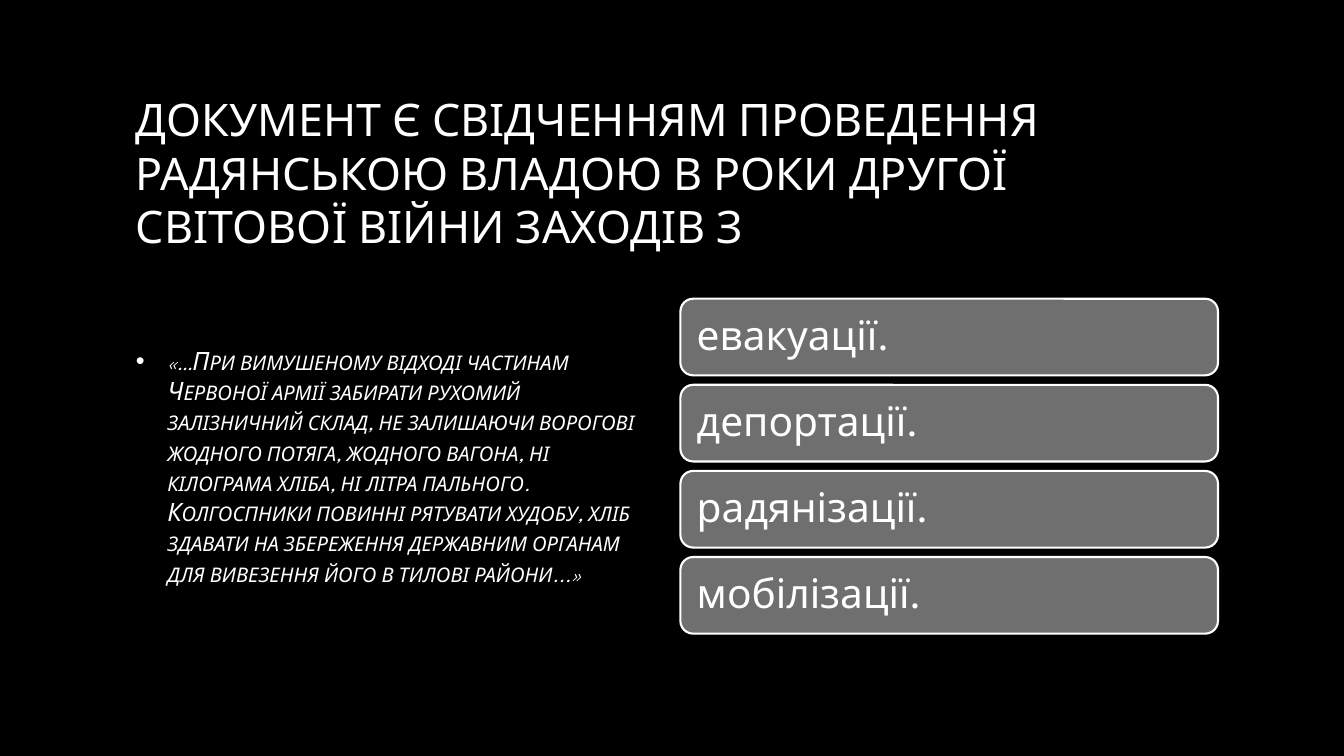
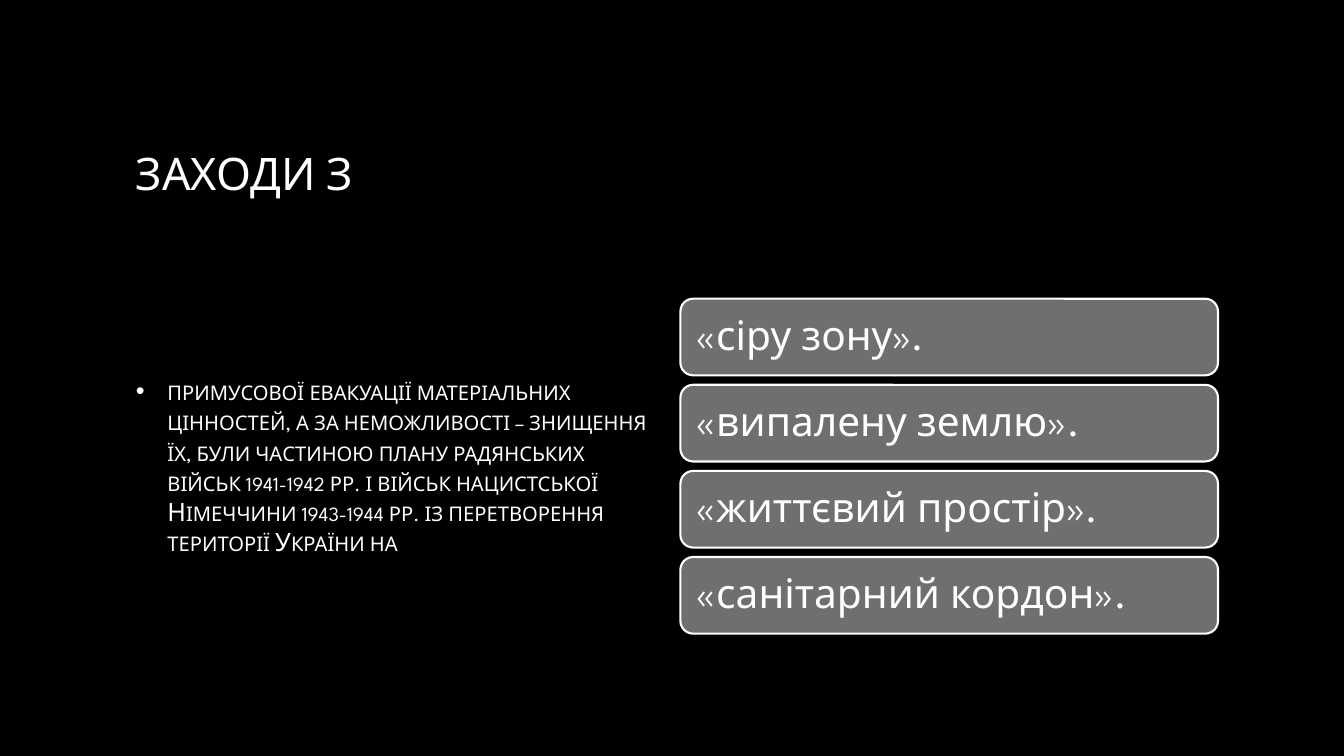
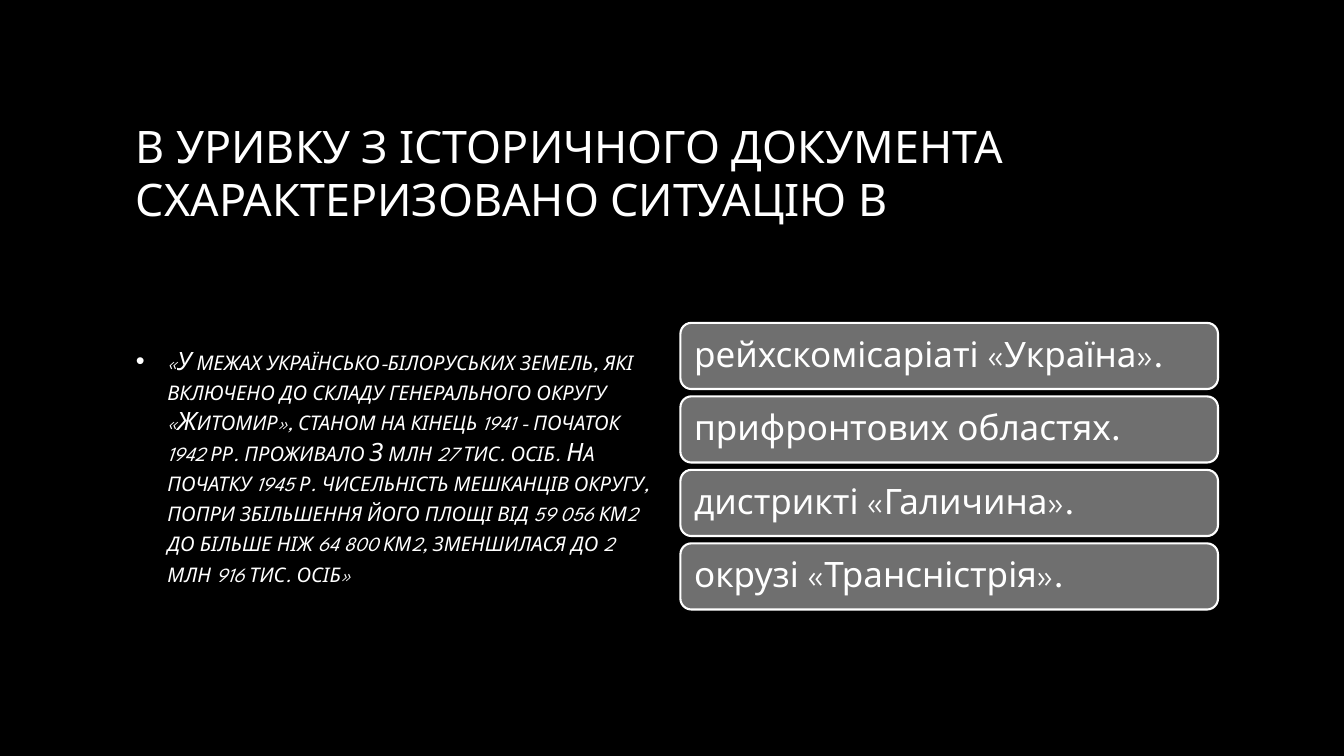
from lxml import etree
from pptx import Presentation
from pptx.dml.color import RGBColor
from pptx.enum.shapes import MSO_SHAPE
from pptx.enum.text import MSO_ANCHOR, PP_ALIGN
from pptx.oxml.ns import qn
from pptx.util import Pt

ROUND_RECT = MSO_SHAPE.ROUNDED_RECTANGLE
MIDDLE = MSO_ANCHOR.MIDDLE
LEFT = PP_ALIGN.LEFT

PX = 9525
FONT = "League Spartan"
BLACK = RGBColor(0, 0, 0)
WHITE = RGBColor(255, 255, 255)
CARD_GRAY = RGBColor(0x6F, 0x6F, 0x6F)
TITLE_SHADE = RGBColor(0xA6, 0xA6, 0xA6)
BODY_SHADE = RGBColor(0xBF, 0xBF, 0xBF)

TITLE_BOX = (120, 64, 1040, 200)
BODY_BOX = (120, 280, 512, 328)
CARDS_BOX = (648, 280, 512, 328)

QUESTIONS = [
    {
        "title": "ДОКУМЕНТ Є СВІДЧЕННЯМ ПРОВЕДЕННЯ РАДЯНСЬКОЮ ВЛАДОЮ В РОКИ "
                 "ДРУГОЇ СВІТОВОЇ ВІЙНИ ЗАХОДІВ З",
        "body": "«…При вимушеному відході частинам Червоної армії забирати рухомий "
                "залізничний склад, не залишаючи ворогові жодного потяга, жодного "
                "вагона, ні кілограма хліба, ні літра пального. Колгоспники повинні "
                "рятувати худобу, хліб здавати на збереження державним органам для "
                "вивезення його в тилові райони...»",
        "italic": True,
        "answers": ["евакуації.", "депортації.", "радянізації.", "мобілізації."],
        "size": 29,
    },
    {
        "title": "ЗАХОДИ З",
        "body": "примусової евакуації матеріальних цінностей, а за неможливості – "
                "знищення їх, були частиною плану радянських військ 1941-1942 рр. "
                "і військ нацистської Німеччини 1943-1944 рр. із перетворення "
                "території України на",
        "italic": False,
        "answers": ["«сіру зону».", "«випалену землю».", "«життєвий простір».",
                    "«санітарний кордон»."],
        "size": 29,
    },
    {
        "title": "В УРИВКУ З ІСТОРИЧНОГО ДОКУМЕНТА СХАРАКТЕРИЗОВАНО СИТУАЦІЮ В",
        "body": "«У межах українсько-білоруських земель, які включено до складу "
                "генерального округу «Житомир», станом на кінець 1941 - початок "
                "1942 рр. проживало З млн 27 тис. осіб. На початку 1945 р. "
                "чисельність мешканців округу, попри збільшення його площі від "
                "59 056 км2 до більше ніж 64 800 км2, зменшилася до 2 млн 916 тис. "
                "осіб»",
        "italic": True,
        "answers": ["рейхскомісаріаті «Україна».", "прифронтових областях.",
                    "дистрикті «Галичина».", "окрузі «Трансністрія»."],
        "size": 25,
    },
]


def emu(*lengths):
    return [round(n * PX) for n in lengths]


def add_text(s, box, text, size, shade):
    tf = s.shapes.add_textbox(*emu(*box)).text_frame
    tf.word_wrap = True
    tf.vertical_anchor = MIDDLE
    tf.text = text
    p = tf.paragraphs[0]
    r = p.runs[0]
    r.font.name = FONT
    r.font.size = Pt(size)
    fill = r.font.fill
    fill.gradient()
    fill.gradient_angle = 267
    for stop, color in zip(fill.gradient_stops, (WHITE, shade)):
        stop.color.rgb = color
    return p


def add_bullet(p):
    pPr = p._p.get_or_add_pPr()
    pPr.set("marL", str(30 * PX))
    pPr.set("indent", str(-30 * PX))
    color = etree.SubElement(pPr, qn("a:buClr"))
    etree.SubElement(color, qn("a:srgbClr"), val=str(WHITE))
    etree.SubElement(pPr, qn("a:buFont"), typeface="Arial")
    etree.SubElement(pPr, qn("a:buChar"), char="•")


def add_body(s, box, text, italic):
    p = add_text(s, box, text, 18, BODY_SHADE)
    add_bullet(p)
    r = p.runs[0]
    r.font.italic = italic
    r._r.get_or_add_rPr().set("cap", "small")


def add_card(s, box, text, size):
    sp = s.shapes.add_shape(ROUND_RECT, *emu(*box))
    sp.shadow.inherit = False
    sp.fill.solid()
    sp.fill.fore_color.rgb = CARD_GRAY
    sp.line.color.rgb = WHITE
    sp.line.width = Pt(1.5)
    tf = sp.text_frame
    tf.word_wrap = True
    tf.vertical_anchor = MIDDLE
    inset = round(size * 0.4) * PX
    tf.margin_left = tf.margin_right = tf.margin_top = tf.margin_bottom = inset
    tf.text = text
    p = tf.paragraphs[0]
    p.alignment = LEFT
    p.line_spacing = 0.9
    font = p.runs[0].font
    font.name = FONT
    font.size = Pt(size)
    font.color.rgb = WHITE


def add_cards(s, box, answers, size):
    left, top, width, height = box
    card_height = round(size * 2.52)
    pitch = card_height + card_height // 8
    stack_height = pitch * (len(answers) - 1) + card_height
    first = top + (height - stack_height) / 2
    for i, answer in enumerate(answers):
        add_card(s, (left, first + i * pitch, width, card_height), answer, size)


def add_question(prs, question):
    s = prs.slides.add_slide(prs.slide_layouts[6])
    add_text(s, TITLE_BOX, question["title"], 32, TITLE_SHADE)
    add_body(s, BODY_BOX, question["body"], question["italic"])
    add_cards(s, CARDS_BOX, question["answers"], question["size"])


def main():
    prs = Presentation()
    prs.slide_width, prs.slide_height = emu(1280, 720)
    background = prs.slide_master.background.fill
    background.solid()
    background.fore_color.rgb = BLACK
    for question in QUESTIONS:
        add_question(prs, question)
    prs.save("out.pptx")


if __name__ == "__main__":
    main()
